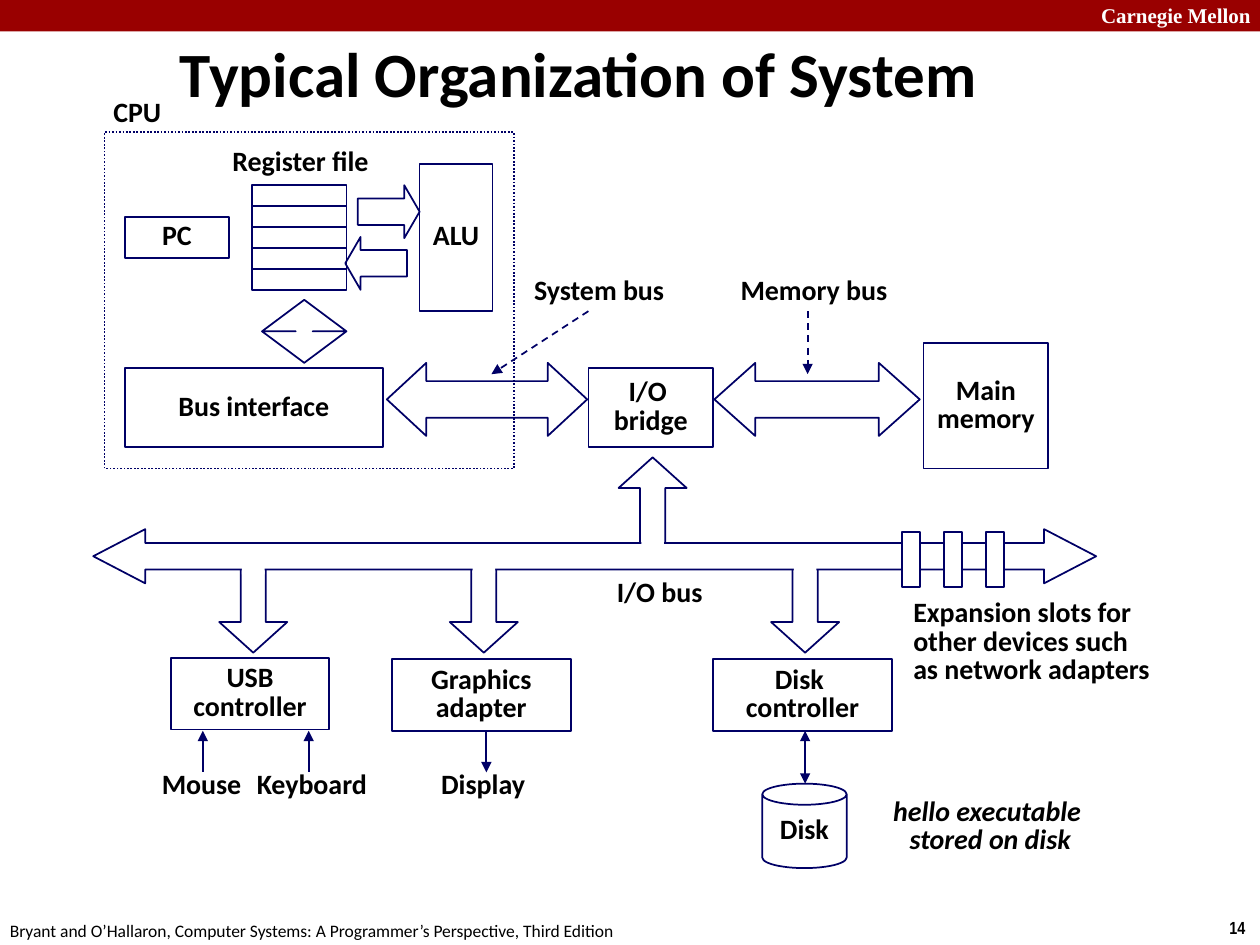
"""Builds the slide showing how the hardware of a typical system is organized."""
import pptx
import pptx.dml.color
import pptx.enum.dml
import pptx.enum.shapes
import pptx.enum.text
import pptx.oxml
import pptx.oxml.ns
import pptx.util

Inches = pptx.util.Inches
Pt = pptx.util.Pt
SHAPE = pptx.enum.shapes.MSO_SHAPE
ALIGN = pptx.enum.text.PP_ALIGN
ANCHOR = pptx.enum.text.MSO_ANCHOR
FIT = pptx.enum.text.MSO_AUTO_SIZE
DASH = pptx.enum.dml.MSO_LINE

COLORS = {"band": "990000", "ink": "000066", "text": "000000", "paper": "FFFFFF"}
LABEL_FONT = {"name": "Calibri", "size": Pt(16), "bold": True}
LABEL_PARAGRAPH = {"alignment": ALIGN.CENTER, "line_spacing": 0.84}
LEFT_PARAGRAPH = {"alignment": ALIGN.LEFT, "line_spacing": 0.84}
PLAIN_PARAGRAPH = {"alignment": ALIGN.LEFT}
FRAME = {
    "vertical_anchor": ANCHOR.MIDDLE,
    "margin_left": Inches(0.1),
    "margin_right": Inches(0.1),
    "margin_top": Inches(0.05),
    "margin_bottom": Inches(0.05),
}


def rgb(color):
    return pptx.dml.color.RGBColor.from_string(COLORS[color])


def set_format(target, values):
    for attribute, value in values.items():
        setattr(target, attribute, value)


def write(frame, wording, font=LABEL_FONT, paragraph=LABEL_PARAGRAPH, color="text", wrap=False):
    set_format(frame, {**FRAME, "word_wrap": wrap})
    frame.text = wording
    for line in frame.paragraphs:
        set_format(line, paragraph)
        set_format(line.font, font)
        line.font.color.rgb = rgb(color)


def draw_stroke(line, dash=None):
    line.color.rgb = rgb("ink")
    set_format(line, {"width": Pt(1), "dash_style": dash})


def add_block(slide, at, kind=SHAPE.RECTANGLE, wording="", fill=None, outlined=True,
              dash=None, adjustments=()):
    block = slide.shapes.add_shape(kind, *map(Inches, at))
    block.shadow.inherit = False
    if fill:
        block.fill.solid()
        block.fill.fore_color.rgb = rgb(fill)
    else:
        block.fill.background()
    if outlined:
        draw_stroke(block.line, dash)
    else:
        block.line.fill.background()
    for index, value in enumerate(adjustments):
        block.adjustments[index] = value
    if wording:
        write(block.text_frame, wording)


def add_label(slide, at, wording, grow=True, **style):
    label = slide.shapes.add_textbox(*map(Inches, at))
    write(label.text_frame, wording, **style)
    label.text_frame.auto_size = FIT.SHAPE_TO_FIT_TEXT if grow else FIT.NONE


def add_pointer(slide, start, end, ends=("tailEnd",), dash=None):
    pointer = slide.shapes.add_connector(
        pptx.enum.shapes.MSO_CONNECTOR.STRAIGHT, *map(Inches, start + end))
    draw_stroke(pointer.line, dash)
    outline = pointer.line._get_or_add_ln()
    for end_name in ends:
        head = pptx.oxml.parse_xml(
            f'<a:{end_name} {pptx.oxml.ns.nsdecls("a")} type="triangle"/>')
        outline.append(head)
    pointer.element.spPr.append(
        pptx.oxml.parse_xml(f'<a:effectLst {pptx.oxml.ns.nsdecls("a")}/>'))


def add_frame(slide):
    add_block(slide, (0, 0, 10, 0.25), fill="band", outlined=False)
    add_label(slide, (8.64, -0.03, 1.43, 0.3), "Carnegie Mellon", color="paper", wrap=True,
              font={"name": "Times New Roman", "size": Pt(12), "bold": True},
              paragraph=PLAIN_PARAGRAPH)
    add_label(slide, (9.66, 7.23, 0.34, 0.27), "14", paragraph=PLAIN_PARAGRAPH,
              font={"name": "Arial Narrow", "size": Pt(10), "bold": True})
    add_label(slide, (-0.02, 7.25, 5.08, 0.27),
              "Bryant and O’Hallaron, Computer Systems: A Programmer’s Perspective, Third Edition",
              font={"name": "Calibri", "size": Pt(10)}, paragraph=PLAIN_PARAGRAPH)
    add_label(slide, (1.33, 0, 8.5, 1.25), "Typical Organization of System", grow=False,
              font={**LABEL_FONT, "size": Pt(36)}, paragraph=LEFT_PARAGRAPH, wrap=True)


def add_cpu(slide):
    add_block(slide, (0.83, 1.05, 3.25, 2.67), dash=DASH.ROUND_DOT)
    add_label(slide, (0.8, 0.74, 0.58, 0.33), "CPU")
    add_label(slide, (1.74, 1.13, 1.29, 0.33), "Register file")
    for register in range(5):
        add_block(slide, (2, 1.47 + register / 6, 0.75, 1 / 6))
    add_block(slide, (0.99, 1.72, 0.83, 0.33), wording="PC")
    add_block(slide, (3.33, 1.3, 0.58, 1.17), wording="ALU")
    add_block(slide, (0.99, 2.92, 2.05, 0.63), wording="Bus interface")
    add_block(slide, (2.84, 1.47, 0.49, 0.42), SHAPE.RIGHT_ARROW, adjustments=(0.5, 0.29))
    add_block(slide, (2.74, 1.88, 0.49, 0.42), SHAPE.LEFT_ARROW, adjustments=(0.5, 0.29))
    add_block(slide, (2.08, 2.38, 0.67, 0.5), SHAPE.UP_DOWN_ARROW, adjustments=(0.5, 0.2))


def add_memory_path(slide):
    add_block(slide, (4.67, 2.92, 0.99, 0.63), wording="I/O \nbridge")
    add_block(slide, (7.33, 2.72, 0.99, 1), wording="Main\nmemory")
    for left, width, head in ((3.07, 1.59, 0.54), (5.67, 1.63, 0.56)):
        add_block(slide, (left, 2.88, width, 0.58), SHAPE.LEFT_RIGHT_ARROW,
                  adjustments=(0.5, head))
    add_label(slide, (4.13, 2.15, 1.25, 0.33), "System bus")
    add_label(slide, (5.77, 2.15, 1.38, 0.33), "Memory bus")
    for start_x, end_x in ((4.67, 3.9), (6.41, 6.41)):
        add_pointer(slide, (start_x, 2.47), (end_x, 2.97), dash=DASH.DASH)


def add_io_bus(slide):
    branches = (
        (4.91, 3.63, SHAPE.UP_ARROW, 4.3),
        (1.74, 4.43, SHAPE.DOWN_ARROW, 4.39),
        (3.57, 4.43, SHAPE.DOWN_ARROW, 4.38),
        (6.12, 4.43, SHAPE.DOWN_ARROW, 4.37),
    )
    for left, top, kind, _ in branches:
        add_block(slide, (left, top, 0.54, 0.75), kind, adjustments=(0.37, 0.45))
    add_block(slide, (0.74, 4.2, 7.96, 0.43), SHAPE.LEFT_RIGHT_ARROW, fill="paper",
              adjustments=(0.49, 0.96))
    for left, _, _, junction_top in branches:
        add_block(slide, (left + 0.18, junction_top, 0.18, 0.17), fill="paper", outlined=False)
    add_label(slide, (4.79, 4.55, 0.89, 0.33), "I/O bus")
    for slot in range(3):
        add_block(slide, (7.16 + slot / 3, 4.22, 0.14, 0.44), fill="paper")
    add_label(slide, (7.15, 4.71, 2.1, 0.78),
              "Expansion slots for\nother devices such\nas network adapters",
              paragraph=LEFT_PARAGRAPH)


def add_devices(slide):
    for left, top, width, wording in (
        (1.36, 5.22, 1.25, "USB\ncontroller"),
        (3.11, 5.23, 1.42, "Graphics\nadapter"),
        (5.66, 5.23, 1.42, "Disk \ncontroller"),
    ):
        add_block(slide, (left, top, width, 0.57), wording=wording)
    for x, bottom, ends in (
        (1.61, 6.13, ("headEnd",)),
        (2.45, 6.13, ("headEnd",)),
        (3.86, 6.13, ("tailEnd",)),
        (6.39, 6.22, ("headEnd", "tailEnd")),
    ):
        add_pointer(slide, (x, 5.8), (x, bottom), ends)
    for left, width, wording in (
        (1.18, 0.84, "Mouse"), (1.93, 1.09, "Keyboard"), (3.4, 0.87, "Display"),
    ):
        add_label(slide, (left, 6.07, width, 0.33), wording)
    add_block(slide, (6.05, 6.22, 0.67, 0.67), SHAPE.CAN, "Disk", adjustments=(0.25,))
    add_label(slide, (6.98, 6.27, 1.76, 0.59), "hello executable \nstored on disk",
              font={**LABEL_FONT, "italic": True})


def main():
    deck = pptx.Presentation()
    set_format(deck, {"slide_width": Inches(10), "slide_height": Inches(7.5)})
    slide = deck.slides.add_slide(deck.slide_layouts[6])
    for add_part in (add_frame, add_cpu, add_memory_path, add_io_bus, add_devices):
        add_part(slide)
    deck.save("out.pptx")


if __name__ == "__main__":
    main()
